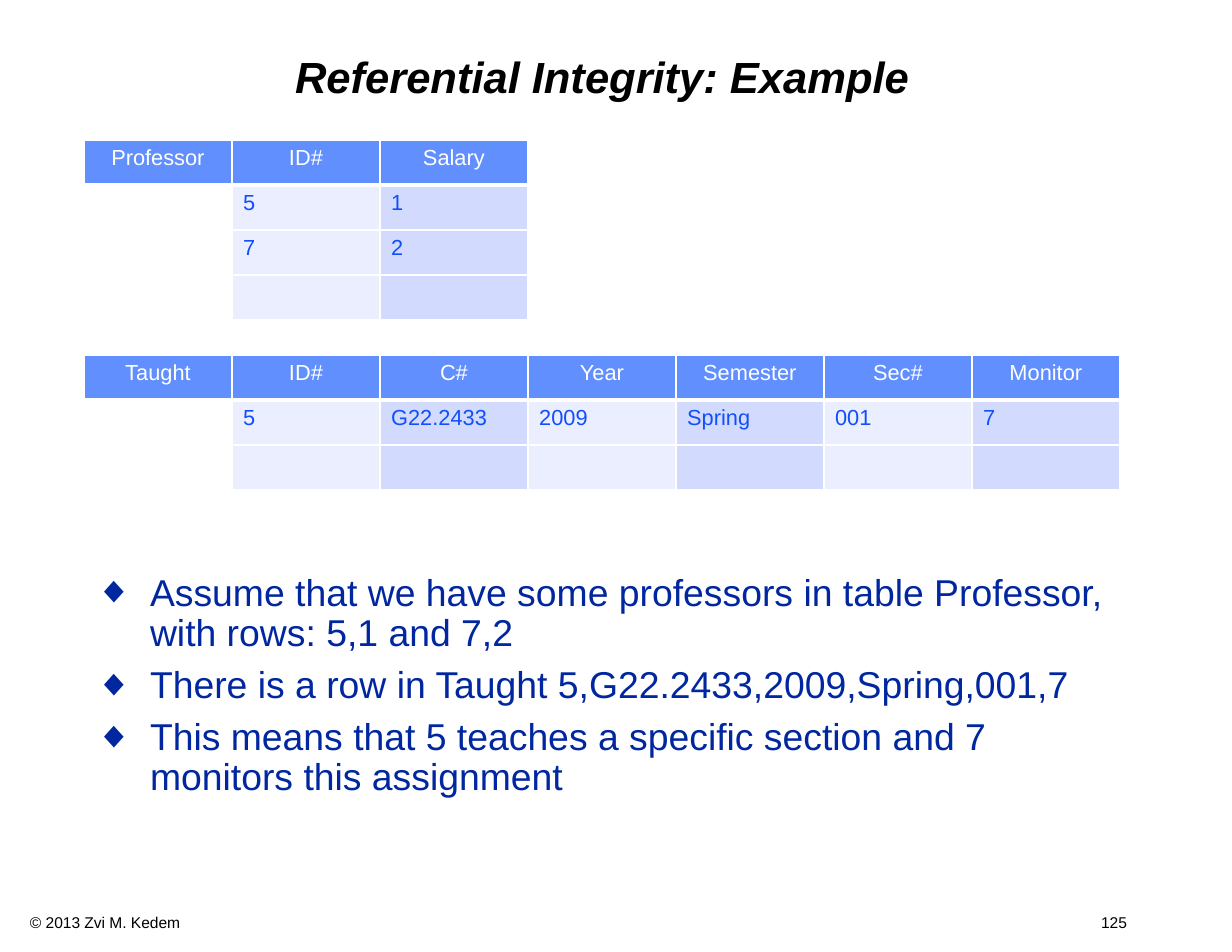
"""Build the slide 'Referential Integrity: Example' with two tables and three bullets."""
from lxml import etree
from pptx import Presentation
from pptx import util as u
from pptx.dml.color import RGBColor
from pptx.enum import text
from pptx.oxml.ns import qn

BLACK = RGBColor(0x00, 0x00, 0x00)
WHITE = RGBColor(0xFF, 0xFF, 0xFF)
NAVY = RGBColor(0x00, 0x27, 0x9F)
BLUE = RGBColor(0x11, 0x4F, 0xFB)
HEADER = RGBColor(0x61, 0x8F, 0xFD)
COLUMN_FILLS = [RGBColor(0xD2, 0xDB, 0xFE), RGBColor(0xEA, 0xEE, 0xFF)]
FONT = "Arial"

TITLE = "Referential Integrity: Example"
RELATIONS = [
    (355, [
        ["Taught", "ID#", "C#", "Year", "Semester", "Sec#", "Monitor"],
        ["", "5", "G22.2433", "2009", "Spring", "001", "7"],
        [""] * 7,
    ]),
    (140, [
        ["Professor", "ID#", "Salary"],
        ["", "5", "1"],
        ["", "7", "2"],
        [""] * 3,
    ]),
]
POINTS = [
    "Assume that we have some professors in table Professor, with rows: 5,1 and 7,2",
    "There is a row in Taught 5,G22.2433,2009,Spring,001,7",
    "This means that 5 teaches a specific section and 7 monitors this assignment",
]
COPYRIGHT, PAGE = "© 2013 Zvi M. Kedem", "125"

LEFT, COLUMN, ROW = 84, 148, 45
INDENT = 54


def px(length):
    return u.Emu(round(length * 914400 / 112))


def add_run(paragraph, words, size, color, bold=False, italic=False):
    run = paragraph.add_run()
    run.text = words
    font = run.font
    font.name, font.size, font.bold, font.italic = FONT, u.Pt(size), bold, italic
    font.color.rgb = color


def set_insets(frame):
    frame.word_wrap = True
    frame.margin_left = frame.margin_right = px(12)
    frame.margin_top = frame.margin_bottom = px(6)


def add_borders(cell, is_header):
    properties = cell._tc.get_or_add_tcPr()
    for side in ("lnL", "lnR", "lnT", "lnB"):
        width = 3 if is_header and side == "lnB" else 1
        line = etree.SubElement(properties, qn(f"a:{side}"), w=str(u.Pt(width)))
        fill = etree.SubElement(line, qn("a:solidFill"))
        etree.SubElement(fill, qn("a:srgbClr"), val=str(WHITE))


def add_relation(slide, top, rows):
    columns = len(rows[0])
    table = slide.shapes.add_table(len(rows), columns, px(LEFT), px(top),
                                   px(COLUMN * columns), px(ROW * len(rows))).table
    for r, row in enumerate(rows):
        for c, value in enumerate(row):
            cell = table.cell(r, c)
            is_header = r == 0
            add_borders(cell, is_header)
            cell.fill.solid()
            cell.fill.fore_color.rgb = (HEADER if is_header else
                                        WHITE if c == 0 else COLUMN_FILLS[c % 2])
            paragraph = cell.text_frame.paragraphs[0]
            if is_header:
                paragraph.alignment = text.PP_ALIGN.CENTER
            if value:
                add_run(paragraph, value, 14, WHITE if is_header else BLUE)


def add_points(slide):
    frame = slide.shapes.add_textbox(px(LEFT), px(568), px(1045), px(328)).text_frame
    set_insets(frame)
    for i, point in enumerate(POINTS):
        paragraph = frame.add_paragraph() if i else frame.paragraphs[0]
        properties = paragraph._p.get_or_add_pPr()
        properties.set("marL", str(px(INDENT)))
        properties.set("indent", str(-px(INDENT)))
        color = etree.SubElement(properties, qn("a:buClr"))
        etree.SubElement(color, qn("a:srgbClr"), val=str(NAVY))
        etree.SubElement(properties, qn("a:buFont"), typeface=FONT)
        etree.SubElement(properties, qn("a:buChar"), char="◆")
        paragraph.line_spacing = 0.9
        if i:
            paragraph.space_before = u.Pt(7.5)
        add_run(paragraph, point, 24, NAVY)


def add_footer(slide):
    frame = slide.shapes.add_textbox(px(19), px(907), px(1158), px(30)).text_frame
    frame.word_wrap = True
    paragraph = frame.paragraphs[0]
    tabs = etree.SubElement(paragraph._p.get_or_add_pPr(), qn("a:tabLst"))
    etree.SubElement(tabs, qn("a:tab"), pos=str(px(1097)), algn="r")
    add_run(paragraph, f"{COPYRIGHT}\t{PAGE}", 10, BLACK)


def main():
    deck = Presentation()
    deck.slide_width, deck.slide_height = px(1232), px(952)
    slide = deck.slides.add_slide(deck.slide_layouts[5])

    title = slide.shapes.title
    title.left, title.top, title.width, title.height = px(LEFT), px(28), px(1036), px(103)
    set_insets(title.text_frame)
    title.text_frame.vertical_anchor = text.MSO_ANCHOR.MIDDLE
    heading = title.text_frame.paragraphs[0]
    heading.alignment = text.PP_ALIGN.CENTER
    heading.line_spacing = 0.9
    add_run(heading, TITLE, 28, BLACK, bold=True, italic=True)

    add_footer(slide)
    add_points(slide)
    for top, rows in RELATIONS:
        add_relation(slide, top, rows)
    deck.save("out.pptx")


if __name__ == "__main__":
    main()
